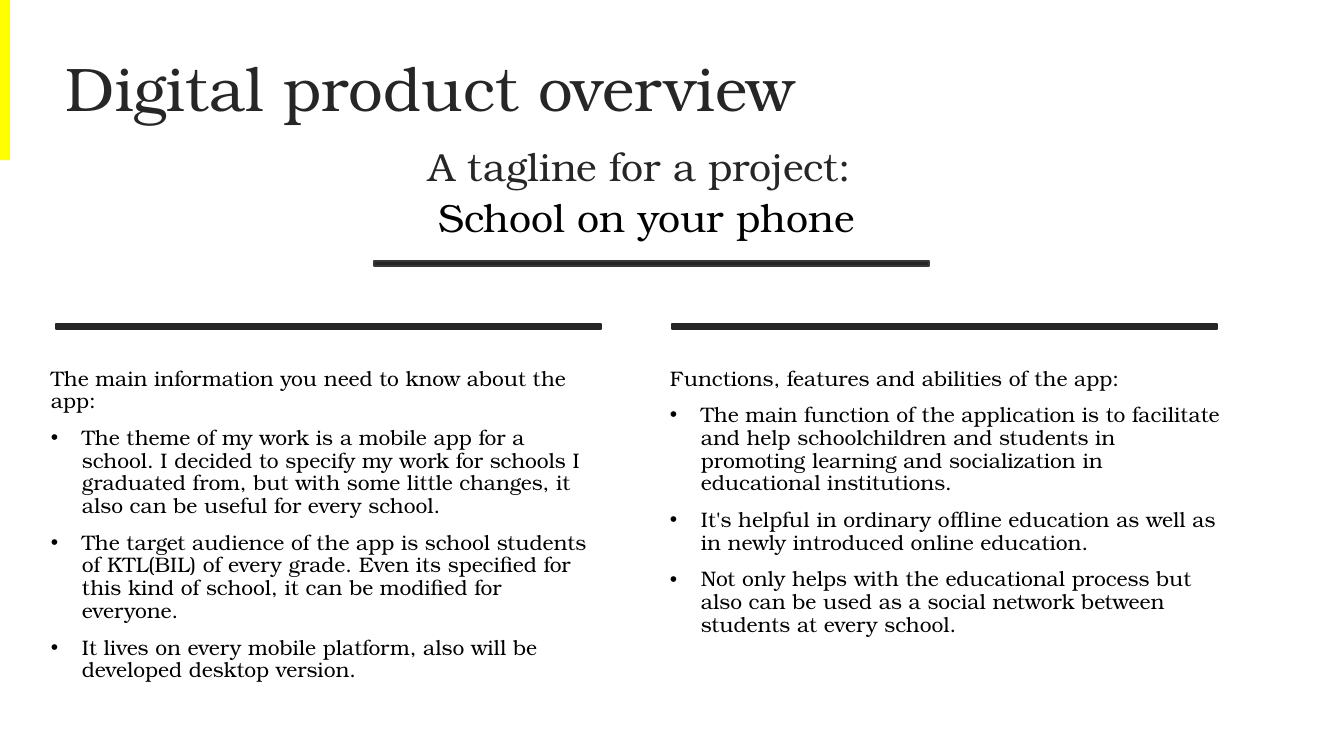
from pptx import Presentation, util as u
from pptx.dml.color import RGBColor
from pptx.enum import shapes, text
from pptx.oxml.ns import qn
from lxml import etree

SCALE = 914400 / 100.8
FONT = "TeX Gyre Bonum"
DARK, BLACK, YELLOW = "262626", "000000", "FFFF00"
INDENT = 31

ABOUT = [
    "The main information you need to know about the app:\u00a0",
    "The theme of my work is\u00a0a mobile app for a school. I decided to specify "
    "my work for schools I graduated from, but with some little changes, it also "
    "can be useful for every school.\u00a0",
    "The target audience of the app is school students of KTL(BIL) of every grade. "
    "Even its specified for this kind of school, it can be modified for everyone.\u00a0",
    "It lives on every mobile platform, also will be developed desktop version.",
]
USES = [
    "Functions, features and abilities of\u00a0the app:\u00a0",
    "The main function of the application is to facilitate and help schoolchildren "
    "and students in promoting learning and socialization in educational institutions.",
    "It's helpful\u00a0in ordinary offline education as well as in newly introduced "
    "online education.",
    "Not only helps\u00a0with the educational process but also can be used as a social "
    "network between students at every school.\u00a0",
]


def px(n):
    return u.Emu(round(n * SCALE))


def color(code):
    return RGBColor.from_string(code)


def bar(slide, box, fill, edge, width=1):
    shape = slide.shapes.add_shape(shapes.MSO_SHAPE.RECTANGLE, *map(px, box))
    shape.shadow.inherit = False
    shape.fill.solid()
    shape.fill.fore_color.rgb = color(fill)
    shape.line.color.rgb = color(edge)
    shape.line.width = u.Pt(width)


def write(slide, box, lines, size, tints, before=0, after=0,
          align=text.PP_ALIGN.LEFT, anchor=text.MSO_ANCHOR.TOP):
    frame = slide.shapes.add_textbox(*map(px, box)).text_frame
    frame.word_wrap = True
    frame.vertical_anchor = anchor
    frame.text = "\n".join(lines)
    for para, tint in zip(frame.paragraphs, tints):
        para.alignment = align
        para.line_spacing = 0.9
        para.space_before, para.space_after = u.Pt(before), u.Pt(after)
        para.font.name, para.font.size = FONT, u.Pt(size)
        para.font.color.rgb = color(tint)
    return frame


def bullet(para):
    props = para._p.get_or_add_pPr()
    props.set("marL", str(px(INDENT)))
    props.set("indent", str(-px(INDENT)))
    font = etree.SubElement(props, qn("a:buFont"))
    font.set("typeface", "Arial")
    mark = etree.SubElement(props, qn("a:buChar"))
    mark.set("char", "•")
    # Default run properties come after the bullet
    for run in props.findall(qn("a:defRPr")):
        props.append(run)


def header(slide, box):
    x, y, w, h = box
    bar(slide, (x - 2, y, 12, 160), YELLOW, YELLOW, 0.75)
    write(slide, (x + 56, y + 19, w - 185, h - 19), ["Digital product overview"],
          44, [DARK], anchor=text.MSO_ANCHOR.MIDDLE)


def tagline(slide, box):
    x, y, w, h = box
    write(slide, box, ["A tagline for a project:\u00a0", "School on your phone"],
          28, [DARK, BLACK], after=6, align=text.PP_ALIGN.CENTER)
    bar(slide, (x + 203, y + h + 7, 555, 5), DARK, "3B3838")


def column(slide, box, lines, inset):
    x, y, w, h = box
    bar(slide, (x + inset, y, 545, 5), DARK, DARK)
    frame = write(slide, (x, y + 39, w, h - 39), lines, 15,
                  [BLACK] * len(lines), before=10)
    for para in frame.paragraphs[1:]:
        bullet(para)


deck = Presentation()
deck.slide_width, deck.slide_height = px(1344), px(756)
page = deck.slides.add_slide(deck.slide_layouts[6])

# Title with accent strip
header(page, (0, 0, 1344, 165))
# Tagline over its rule
tagline(page, (171, 143, 951, 111))
# Two columns, each under a rule
column(page, (41, 324, 572, 378), ABOUT, 15)
column(page, (660, 324, 572, 378), USES, 12)

deck.save("out.pptx")
